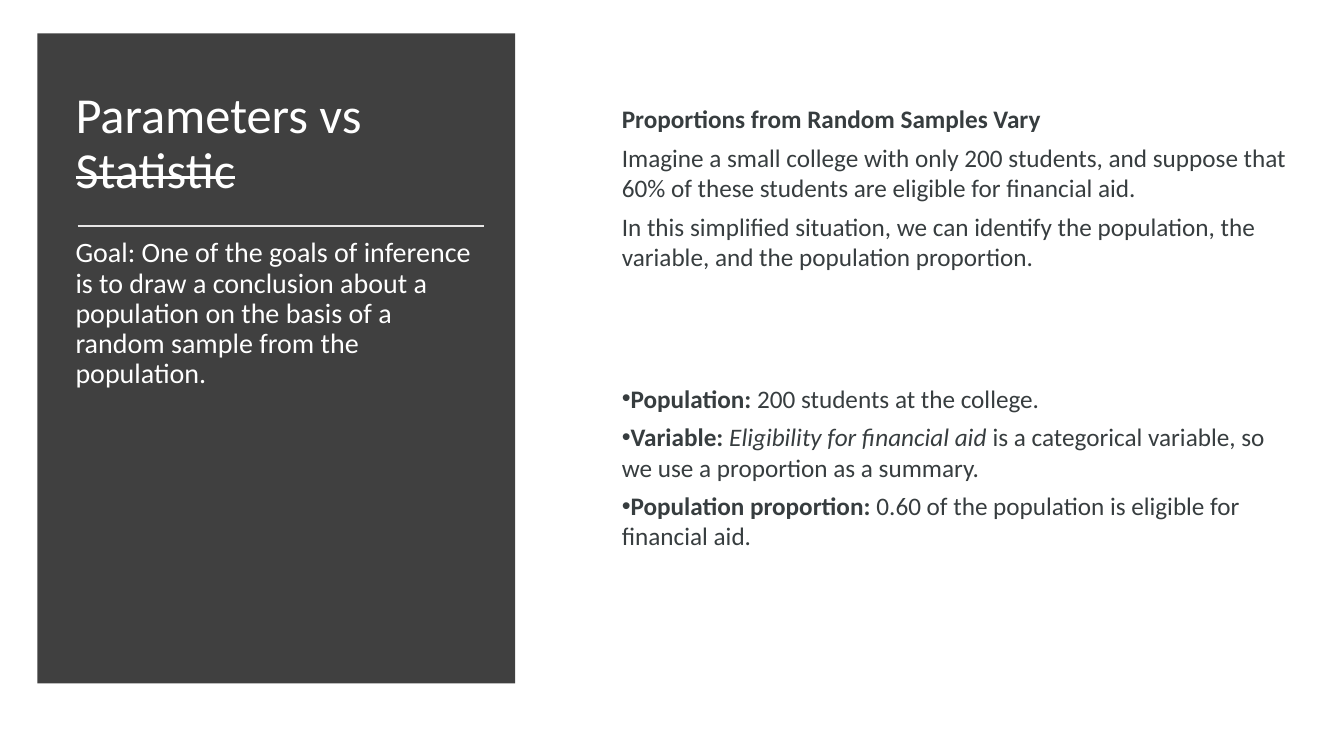
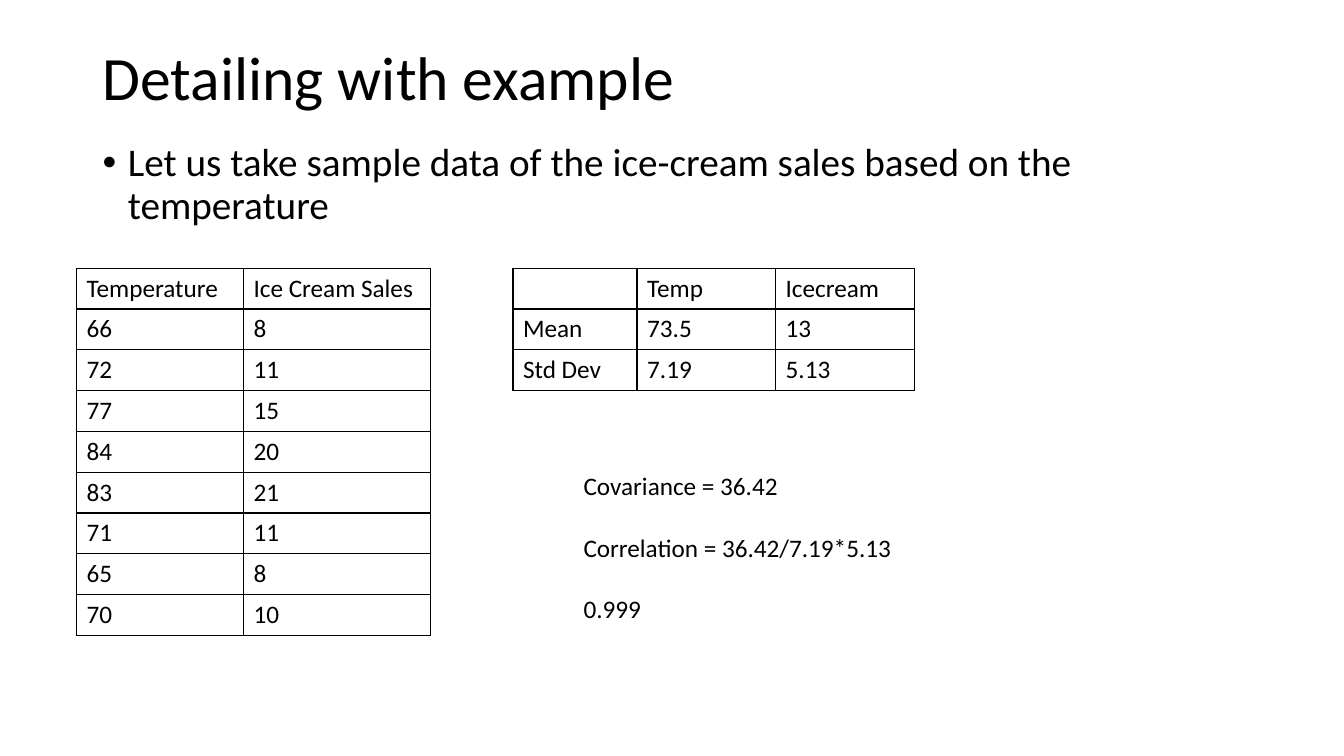
"""Build two statistics slides: parameters against statistics, and a worked correlation example."""
from lxml import etree
from pptx import Presentation, util as u
from pptx.dml.color import RGBColor
from pptx.enum import shapes, text
from pptx.oxml import parse_xml
from pptx.oxml.ns import nsdecls, qn

COLOURS = {
    "panel": "404040",
    "rule": "E7E6E6",
    "light": "FFFFFF",
    "slate": "373D3F",
    "ink": "000000",
}
FONT = "Calibri"

deck = Presentation()
deck.slide_width, deck.slide_height = u.Inches(13.33), u.Inches(7.5)
COLUMN, ROW = deck.slide_width / 100, deck.slide_height / 100


def write(frame, paragraphs, size, colour, leading=None, before=0, after=0, bullet=False, hang=0):
    """Fill a frame with paragraphs, each a list of (wording, styles) runs."""
    for number, runs in enumerate(paragraphs):
        para = frame.add_paragraph() if number else frame.paragraphs[0]
        para.line_spacing = leading
        para.space_before, para.space_after = u.Pt(before), u.Pt(after)
        if bullet:
            props = para._p.get_or_add_pPr()
            props.set("marL", str(u.Inches(hang)))
            props.set("indent", str(-u.Inches(hang)))
            etree.SubElement(props, qn("a:buFont")).set("typeface", "Arial")
            etree.SubElement(props, qn("a:buChar")).set("char", "•")
        for wording, styles in runs:
            span = para.add_run()
            span.text = wording
            span.font.name, span.font.size = FONT, u.Pt(size)
            span.font.color.rgb = RGBColor.from_string(COLOURS[colour])
            span.font.bold = "bold" in styles
            span.font.italic = "italic" in styles
            if "strike" in styles:
                span._r.get_or_add_rPr().set("strike", "sngStrike")


def add_text(page, place, paragraphs, size, colour, middle=False, wrap=True, **spacing):
    """Place a text box given as left, top, width and height in grid units."""
    left, top, width, height = place
    box = page.shapes.add_textbox(
        int(left * COLUMN), int(top * ROW), int(width * COLUMN), int(height * ROW))
    box.text_frame.word_wrap = wrap
    box.text_frame.vertical_anchor = text.MSO_ANCHOR.MIDDLE if middle else text.MSO_ANCHOR.TOP
    write(box.text_frame, paragraphs, size, colour, **spacing)


page = deck.slides.add_slide(deck.slide_layouts[6])
panel = page.shapes.add_shape(
    shapes.MSO_SHAPE.RECTANGLE,
    int(2.78 * COLUMN), int(4.4 * ROW), int(35.55 * COLUMN), int(86 * ROW))
panel.shadow.inherit = False
panel.fill.solid()
panel.fill.fore_color.rgb = RGBColor.from_string(COLOURS["panel"])
panel.line.fill.background()

add_text(page, (4.88, 9.33, 31.35, 19.6),
         [[("Parameters vs ", ""), ("Statistic", "strike")]],
         36, "light", middle=True, leading=0.9)

rule = page.shapes.add_connector(
    shapes.MSO_CONNECTOR.STRAIGHT,
    int(5.78 * COLUMN), int(29.87 * ROW), int(36 * COLUMN), int(29.87 * ROW))
rule.line.color.rgb = RGBColor.from_string(COLOURS["rule"])
rule.line.width = u.Pt(1.75)
etree.SubElement(rule._element.spPr, qn("a:effectLst"))

add_text(page, (4.88, 30.93, 31.35, 55.07),
         [[("Goal: One of the goals of inference is to draw a conclusion about a population "
            "on the basis of a random sample from the population.", "")]],
         20, "light", leading=0.9, before=10)

add_text(page, (45.53, 13.07, 51.68, 23.73), [
    [("Proportions from Random Samples Vary", "bold")],
    [("Imagine a small college with only 200 students, and suppose that 60% of these "
      "students are eligible for financial aid.", "")],
    [("In this simplified situation, we can identify the population, the variable, "
      "and the population proportion.", "")],
], 18, "slate", after=6)

add_text(page, (45.53, 50, 49.58, 23.73), [
    [("Population:", "bold"), ("\u00a0200 students at the college.", "")],
    [("Variable:\u00a0", "bold"), ("Eligibility for financial aid", "italic"),
     ("\u00a0is a categorical variable, so we use a proportion as a summary.", "")],
    [("Population proportion:", "bold"),
     ("\u00a00.60 of the population is eligible for financial aid.", "")],
], 18, "slate", after=6, bullet=True)

page = deck.slides.add_slide(deck.slide_layouts[6])
add_text(page, (6.9, 5.33, 86.25, 10.53), [[("Detailing with example", "")]],
         44, "ink", middle=True, leading=0.9)
add_text(page, (6.9, 18.27, 86.25, 63.47),
         [[("Let us take sample data of the ice-cream sales based on the temperature", "")]],
         28, "ink", leading=0.9, before=10, bullet=True, hang=0.25)

sales = [("Temperature", "Ice Cream Sales"), ("66", "8"), ("72", "11"), ("77", "15"),
         ("84", "20"), ("83", "21"), ("71", "11"), ("65", "8"), ("70", "10")]
summary = [("", "Temp", "Icecream"), ("Mean", "73.5", "13"), ("Std Dev", "7.19", "5.13")]
table_top, row_height = 35.47, 5.4

for left, widths, records in [(5.7, (12.42, 13.91), sales),
                              (38.17, (9.23, 10.31, 10.31), summary)]:
    table = page.shapes.add_table(
        len(records), len(widths), int(left * COLUMN), int(table_top * ROW),
        int(sum(widths) * COLUMN), int(len(records) * row_height * ROW)).table
    table.first_row = table.horz_banding = False
    for column, width in zip(table.columns, widths):
        column.width = int(width * COLUMN)
    for row, record in zip(table.rows, records):
        row.height = int(row_height * ROW)
        for cell, wording in zip(row.cells, record):
            if wording:
                write(cell.text_frame, [[(wording, "")]], 18, "ink")
            for side in "LRTB":
                cell._tc.get_or_add_tcPr().append(parse_xml(
                    f'<a:ln{side} {nsdecls("a")} w="{u.Pt(1)}"><a:solidFill>'
                    f'<a:srgbClr val="{COLOURS["ink"]}"/></a:solidFill></a:ln{side}>'))
            cell.fill.background()

results = ["Covariance = 36.42", "Correlation = 36.42/7.19*5.13", "0.999"]
for number, result in enumerate(results):
    add_text(page, (42.68, 61.6 + number * 8.1, 24.68, 5.4), [[(result, "")]],
             18, "ink", wrap=False)

deck.save("out.pptx")
